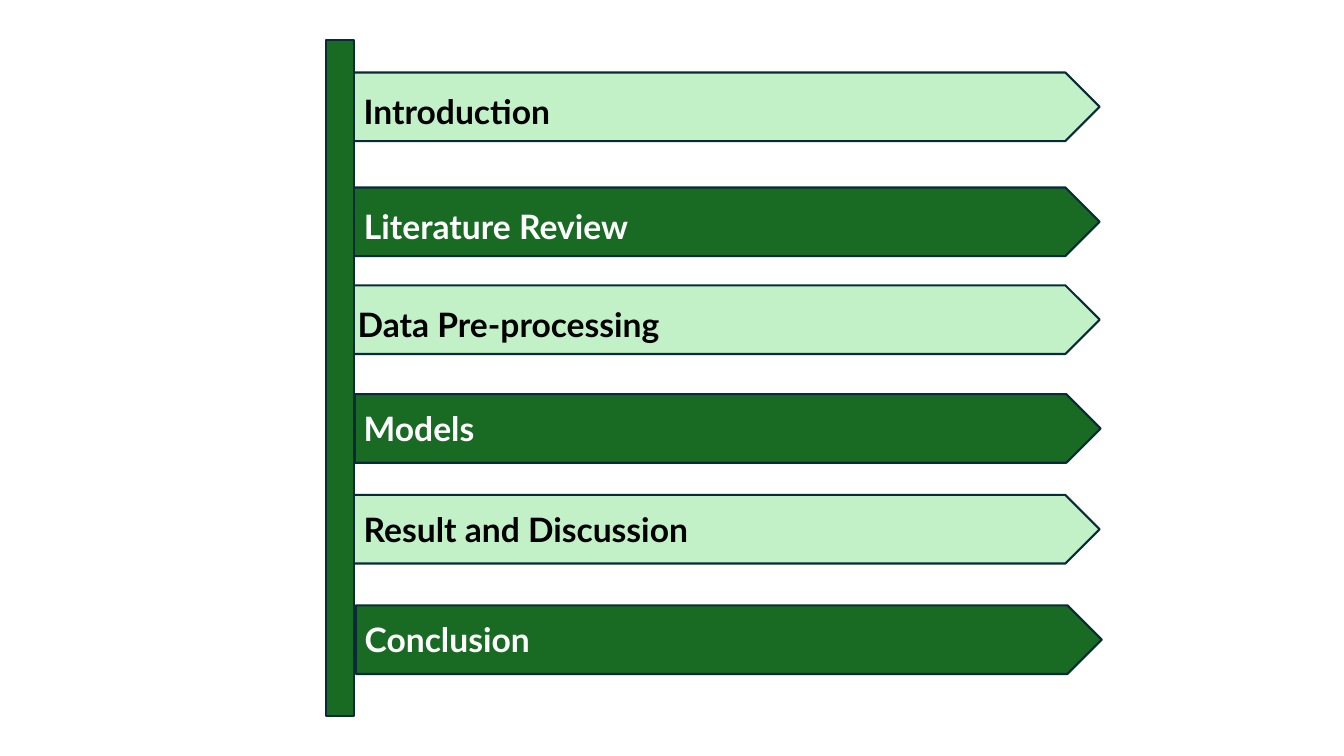
from dataclasses import dataclass

from pptx import Presentation
from pptx.dml.color import RGBColor
from pptx.enum.shapes import MSO_SHAPE
from pptx.enum.text import MSO_ANCHOR, MSO_AUTO_SIZE, PP_ALIGN
from pptx.util import Pt

ARROW = MSO_SHAPE.PENTAGON
RECT = MSO_SHAPE.RECTANGLE
LEFT = PP_ALIGN.LEFT
TOP = MSO_ANCHOR.TOP
GROW = MSO_AUTO_SIZE.SHAPE_TO_FIT_TEXT


@dataclass(frozen=True)
class Theme:
    pale: str = "C2F1C8"
    green: str = "196B24"
    edge: str = "092A39"
    black: str = "000000"
    white: str = "FFFFFF"
    font: str = "Lato"
    size: float = 24
    line: float = 1.5


def write(frame, text, *, font, size, color, bold=False, align=LEFT):
    para = frame.paragraphs[0]
    para.alignment = align
    run = para.add_run()
    run.text = text
    run.font.name = font
    run.font.size = Pt(size)
    run.font.bold = bold
    run.font.color.rgb = RGBColor.from_string(color)


class Board:
    def __init__(self, slide, theme):
        self.slide = slide
        self.theme = theme

    def shape(self, kind, left, top, width, height, fill):
        item = self.slide.shapes.add_shape(
            kind, Pt(left), Pt(top), Pt(width), Pt(height))
        item.shadow.inherit = False
        item.fill.solid()
        item.fill.fore_color.rgb = RGBColor.from_string(fill)
        item.line.color.rgb = RGBColor.from_string(self.theme.edge)
        item.line.width = Pt(self.theme.line)

    def label(self, text, left, top, width, height, color):
        box = self.slide.shapes.add_textbox(
            Pt(left), Pt(top), Pt(width), Pt(height))
        frame = box.text_frame
        frame.word_wrap = True
        frame.auto_size = GROW
        frame.vertical_anchor = TOP
        write(frame, text, font=self.theme.font, size=self.theme.size,
              color=color, bold=True)


def main():
    deck = Presentation()
    deck.slide_width, deck.slide_height = Pt(960), Pt(540)
    theme = Theme()
    board = Board(deck.slides.add_slide(deck.slide_layouts[6]), theme)

    topics = [
        ("Introduction", 252.7, 51.8, 252.7, 9.4),
        ("Literature Review", 252.7, 133.9, 252.9, 9.4),
        ("Data Pre-processing", 252.7, 203.8, 248.4, 9.4),
        ("Models", 253.4, 281.5, 252.7, 6.5),
        ("Result and Discussion", 252.7, 353.5, 252.7, 6.5),
        ("Conclusion", 254.2, 432.4, 253.4, 6.5),
    ]
    styles = [(theme.pale, theme.black), (theme.green, theme.white)]
    for row, (text, left, top, inset, drop) in enumerate(topics):
        fill, color = styles[row % 2]
        board.shape(ARROW, left, top, 532.8, 49, fill)
        board.label(text, inset, top + drop, 323.3, 36, color)

    board.shape(RECT, 232.6, 28.8, 20.2, 482.4, theme.green)
    deck.save("out.pptx")


if __name__ == "__main__":
    main()
